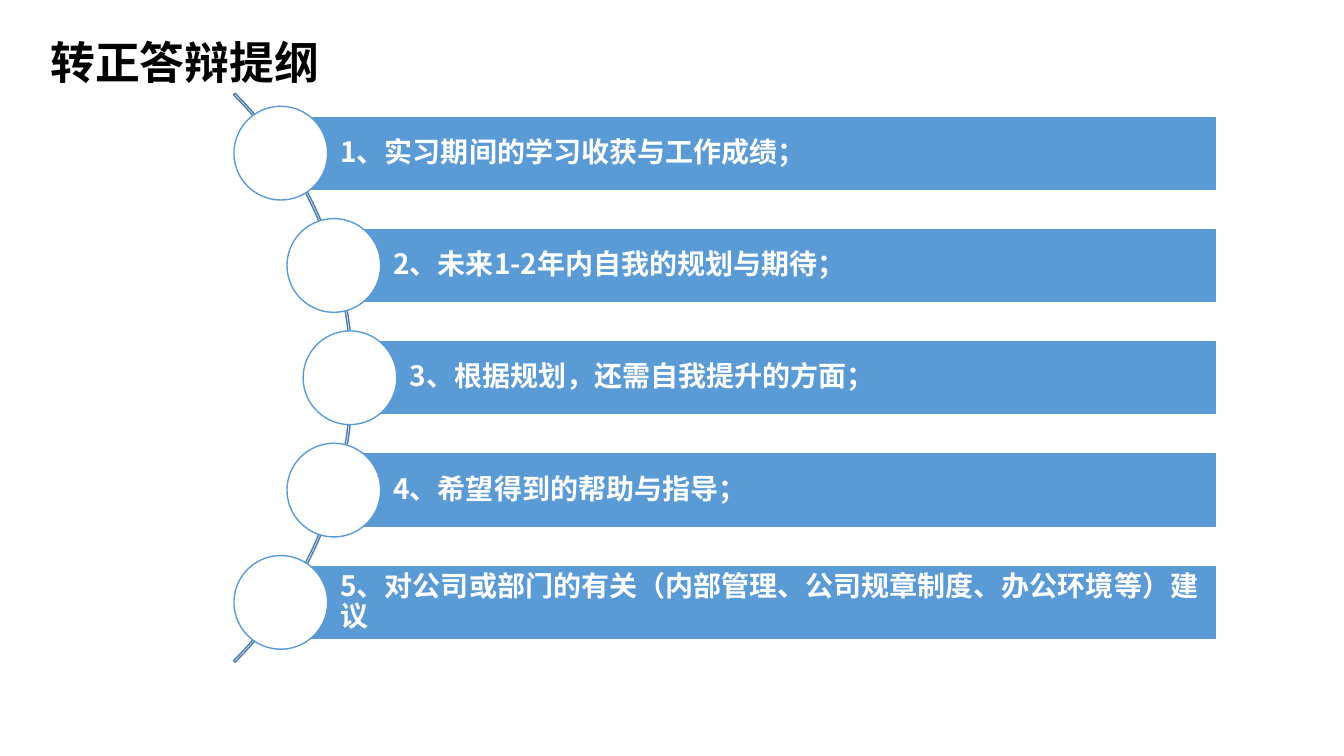
import math
import pptx
import pptx.util
import pptx.dml.color
import pptx.enum.shapes
import pptx.enum.text
import pptx.oxml.ns
import lxml.etree

Cm, Pt = pptx.util.Cm, pptx.util.Pt
KIND = pptx.enum.shapes.MSO_SHAPE
FONT = "Noto Sans CJK SC"
BLUE, WHITE = "5B9BD5", "FFFFFF"


def color(code):
    return pptx.dml.color.RGBColor.from_string(code)


def write(para, text, size, code):
    run = para.add_run()
    run.text = text
    run.font.size, run.font.bold, run.font.name = Pt(size), True, FONT
    run.font.color.rgb = color(code)
    # Chinese text takes the East Asian font
    tag = pptx.oxml.ns.qn("a:ea")
    lxml.etree.SubElement(run.font._element, tag).set("typeface", FONT)


deck = pptx.Presentation()
deck.slide_width, deck.slide_height = Cm(33.87), Cm(19.05)
slide = deck.slides.add_slide(deck.slide_layouts[6])
shapes = slide.shapes

# Arc behind the circles
mid_x, mid_y, size = -1.24, 9.52, 20.27
arc = shapes.add_shape(KIND.BLOCK_ARC, Cm(mid_x - size / 2),
                       Cm(mid_y - size / 2), Cm(size), Cm(size))
for i, value in enumerate([189, 27, 0.0027]):
    arc.adjustments[i] = value
arc.shadow.inherit = False
arc.fill.background()
arc.line.color.rgb = color("497CAB")
arc.line.width = Pt(1)

# Outline points: bars with circles that follow the arc
items = [
    "1、实习期间的学习收获与工作成绩；",
    "2、未来1-2年内自我的规划与期待；",
    "3、根据规划，还需自我提升的方面；",
    "4、希望得到的帮助与指导；",
    "5、对公司或部门的有关（内部管理、公司规章制度、办公环境等）建议",
]
radius, step, right = 10.06, 2.83, 30.66
high, wide = 1.88, 2.36
for i, item in enumerate(items):
    drop = (i - 2) * step
    x, y = mid_x + math.sqrt(radius ** 2 - drop ** 2), mid_y + drop
    bar = shapes.add_shape(KIND.RECTANGLE, Cm(x), Cm(y - high / 2),
                           Cm(right - x), Cm(high))
    dot = shapes.add_shape(KIND.OVAL, Cm(x - wide / 2), Cm(y - wide / 2),
                           Cm(wide), Cm(wide))
    for shape, fill, line in [(bar, BLUE, WHITE), (dot, WHITE, BLUE)]:
        shape.shadow.inherit = False
        shape.fill.solid()
        shape.fill.fore_color.rgb = color(fill)
        shape.line.color.rgb = color(line)
        shape.line.width = Pt(1)
    frame = bar.text_frame
    frame.word_wrap = True
    frame.vertical_anchor = pptx.enum.text.MSO_ANCHOR.MIDDLE
    frame.margin_left = Cm(1.5)
    frame.margin_right = frame.margin_top = frame.margin_bottom = Cm(0.15)
    para = frame.paragraphs[0]
    para.alignment = pptx.enum.text.PP_ALIGN.LEFT
    para.line_spacing = 0.9
    write(para, item, 20, WHITE)

# Title
title = shapes.add_textbox(Cm(1.02), Cm(0.76), Cm(11.56), Cm(1.63))
title.text_frame.word_wrap = True
write(title.text_frame.paragraphs[0], "转正答辩提纲", 32, "000000")

deck.save("out.pptx")
